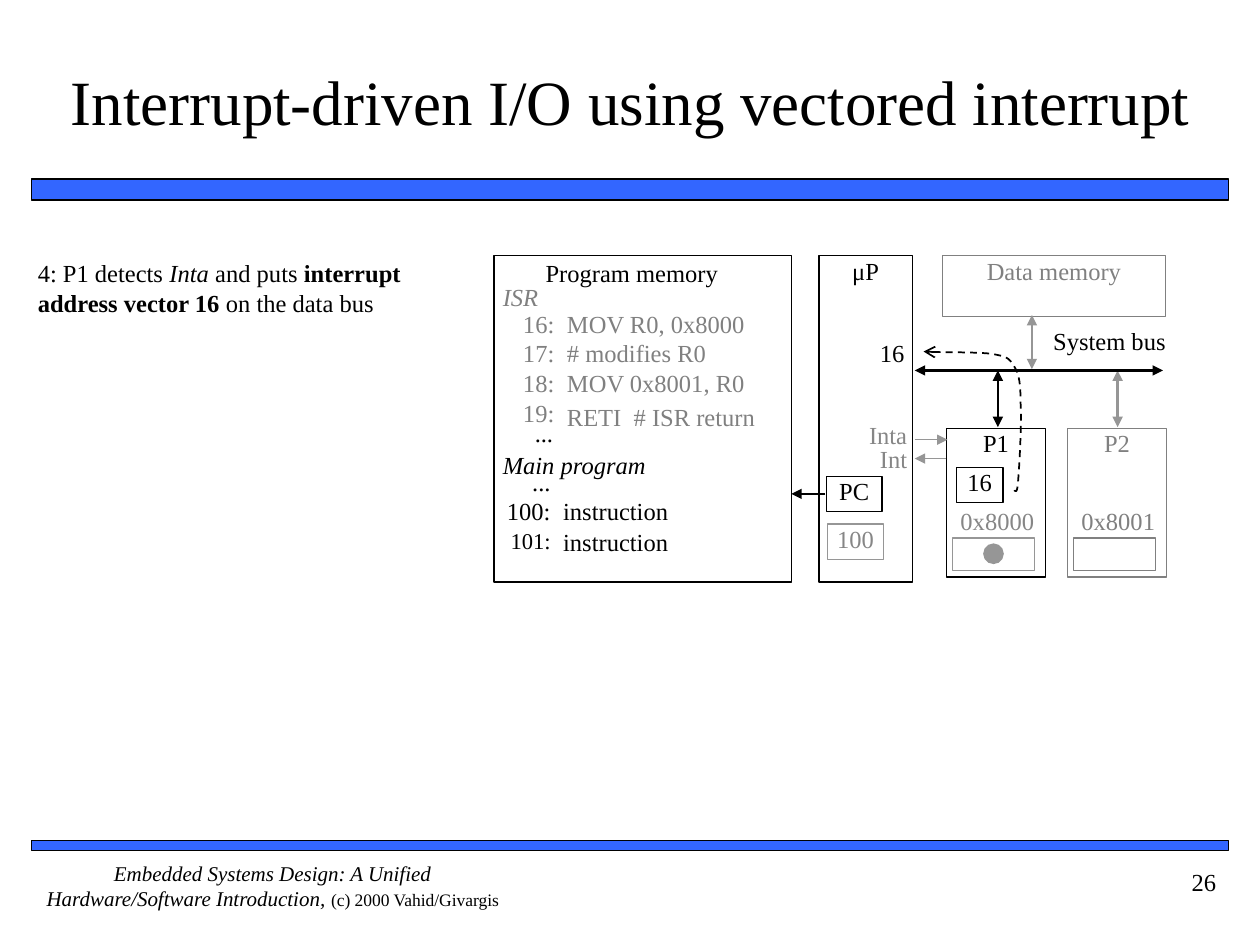
import pptx
import pptx.util
import pptx.dml.color
import pptx.enum.dml
import pptx.enum.shapes
import pptx.enum.text
import pptx.oxml.ns
import lxml.etree

Inches, Pt = pptx.util.Inches, pptx.util.Pt
SHAPE = pptx.enum.shapes.MSO_SHAPE
BLACK, WHITE, BLUE = "000000", "FFFFFF", "3366FF"
GRAY, MID, LIGHT = "808080", "868686", "969696"
ALIGN = {"l": pptx.enum.text.PP_ALIGN.LEFT, "c": pptx.enum.text.PP_ALIGN.CENTER,
         "r": pptx.enum.text.PP_ALIGN.RIGHT}


def rgb(color):
    return pptx.dml.color.RGBColor.from_string(color)


def write(sp, text, size=14, color=BLACK, align="l", italic=False, middle=False, inset=(0, 0)):
    """text is a string or a list of (text, format) runs."""
    tf = sp.text_frame
    tf.word_wrap = True
    tf.margin_left = tf.margin_right = Inches(inset[0])
    tf.margin_top = tf.margin_bottom = Inches(inset[1])
    anchor = pptx.enum.text.MSO_ANCHOR
    tf.vertical_anchor = anchor.MIDDLE if middle else anchor.TOP
    p = tf.paragraphs[0]
    p.alignment = ALIGN[align]
    for part, fmt in [(text, {})] if isinstance(text, str) else text:
        r = p.add_run()
        r.text = part
        r.font.name = "Times New Roman"
        r.font.size = Pt(fmt.get("size", size))
        r.font.italic = fmt.get("italic", italic)
        r.font.bold = fmt.get("bold", False)
        r.font.color.rgb = rgb(color)


def label(s, x, y, w, h, text, **fmt):
    sp = s.shapes.add_textbox(Inches(x), Inches(y), Inches(w), Inches(h))
    write(sp, text, **fmt)


def box(s, x, y, w, h, text=None, line=BLACK, fill=WHITE, color=BLACK,
        width=0.75, shape=SHAPE.RECTANGLE):
    sp = s.shapes.add_shape(shape, Inches(x), Inches(y), Inches(w), Inches(h))
    sp.shadow.inherit = False
    sp.fill.solid()
    sp.fill.fore_color.rgb = rgb(fill)
    sp.line.color.rgb = rgb(line)
    sp.line.width = Pt(width)
    if text:
        write(sp, text, color=color, align="c")


def style_line(sp, color, width, head=None, tail=None):
    sp.line.color.rgb = rgb(color)
    sp.line.width = Pt(width)
    ln = sp.line._get_or_add_ln()
    for tag, kind in (("a:headEnd", head), ("a:tailEnd", tail)):
        if kind:
            lxml.etree.SubElement(ln, pptx.oxml.ns.qn(tag), type=kind)


def arrow(s, x1, y1, x2, y2, color=BLACK, width=1.25, both=False):
    cn = s.shapes.add_connector(pptx.enum.shapes.MSO_CONNECTOR.STRAIGHT,
                                Inches(x1), Inches(y1), Inches(x2), Inches(y2))
    style_line(cn, color, width, "triangle" if both else None, "triangle")
    lxml.etree.SubElement(cn._element.spPr, pptx.oxml.ns.qn("a:effectLst"))


def bezier(a, b, c, d, steps=10):
    for i in range(1, steps + 1):
        t = i / steps
        u = 1 - t
        yield tuple(u**3 * p + 3 * u * u * t * q + 3 * u * t * t * m + t**3 * n
                    for p, q, m, n in zip(a, b, c, d))


def dashed_curve(s, x, y, start, curves):
    points, last = [], start
    for curve in curves:
        points += bezier(last, *curve)
        last = curve[-1]
    fb = s.shapes.build_freeform(Inches(x + start[0]), Inches(y + start[1]))
    fb.add_line_segments([(Inches(x + px), Inches(y + py)) for px, py in points], close=False)
    sp = fb.convert_to_shape()
    sp.shadow.inherit = False
    sp.fill.background()
    sp.line.dash_style = pptx.enum.dml.MSO_LINE.DASH
    style_line(sp, BLACK, 1, tail="arrow")


def header(s, x, y, w):
    label(s, x + 0.17, y, w - 0.33, 1.25, "Interrupt-driven I/O using vectored interrupt",
          size=36, align="c", middle=True, inset=(0, 0.05))
    box(s, x, y + 1.25, w, 0.17, fill=BLUE, width=1)


def footer(s, x, y, w):
    box(s, x, y, w, 0.08, fill=BLUE, width=1)
    label(s, x, y + 0.16, 3.83, 0.5,
          [("Embedded Systems Design: A Unified Hardware/Software Introduction, ", {"italic": True}),
           ("(c) 2000 Vahid/Givargis", {"size": 10})], size=12, align="c")
    label(s, x + w - 1, y + 0.16, 1, 0.5, "26", align="r", inset=(0.1, 0.05))


def step_note(s, x, y, w):
    label(s, x, y, w, 0.47,
          [("4: P1 detects ", {}), ("Inta ", {"italic": True}), ("and puts ", {}),
           ("interrupt address vector 16", {"bold": True}), (" on the data bus", {})])


def program_memory(s, x, y, w, h):
    box(s, x, y, w, h)
    label(s, x + 0.41, y + 0.02, 1.61, 0.33, "Program memory")
    label(s, x + 0.07, y + 0.21, 0.51, 0.34, "ISR", color=GRAY, italic=True)
    label(s, x + 0.07, y + 1.54, 1.38, 0.41, "Main program", italic=True)
    # Right edge of the addresses, left edge of the code, then one line per row
    for right, left, dy, code_dy, address, code, color, size in (
            (0.48, 0.58, 0.42, 0.42, "16:", "MOV R0, 0x8000", GRAY, 14),
            (0.48, 0.58, 0.65, 0.65, "17:", "# modifies R0", GRAY, 14),
            (0.48, 0.58, 0.89, 0.89, "18:", "MOV 0x8001, R0", GRAY, 14),
            (0.48, 0.58, 1.13, 1.16, "19:", "RETI  # ISR return", GRAY, 14),
            (0.47, 0.58, 1.29, 0, "...", None, BLACK, 14),
            (0.45, 0.55, 1.68, 0, "...", None, BLACK, 14),
            (0.45, 0.55, 1.91, 1.91, "100:", "instruction", BLACK, 14),
            (0.45, 0.55, 2.15, 2.15, "101:", "instruction", BLACK, 12.9)):
        label(s, x + right - 0.5, y + dy, 0.5, 0.25, address, size=size, color=color, align="r")
        if code:
            label(s, x + left, y + code_dy, 1.76, 0.25, code, color=color)


def processor(s, x, y, w, h):
    box(s, x, y, w, h, "μP")
    label(s, x + 0.43, y + 0.65, 0.3, 0.28, "16", align="c")
    for dy, name in ((1.3, "Inta"), (1.49, "Int")):
        label(s, x + 0.3, y + dy, 0.4, 0.32, name, color=MID, align="r")
    box(s, x + 0.06, y + 1.75, 0.44, 0.28, "PC")
    box(s, x + 0.07, y + 2.13, 0.44, 0.28, "100", line=LIGHT, color=MID)
    arrow(s, x + 0.05, y + 1.89, x - 0.22, y + 1.89)


def peripheral(s, x, y, name, address, color, address_color, register_line):
    box(s, x, y, 0.79, 1.18, name, line=color, color=color)
    label(s, x + 0.06, y + 0.62, 0.69, 0.26, address, color=address_color, align="c")
    box(s, x + 0.05, y + 0.87, 0.65, 0.26, line=register_line)


def bus(s, x, y):
    # Data memory above the bus
    box(s, x + 0.22, y - 0.91, 1.77, 0.48, "Data memory", line=GRAY, color=GRAY)
    arrow(s, x + 0.93, y - 0.44, x + 0.93, y - 0.01, LIGHT, both=True)
    label(s, x + 1.02, y - 0.35, 1.05, 0.32, "System bus", align="c")
    # Peripherals below it
    peripheral(s, x + 0.25, y + 0.46, "P1", "0x8000", BLACK, MID, LIGHT)
    peripheral(s, x + 1.21, y + 0.46, "P2", "0x8001", GRAY, GRAY, GRAY)
    box(s, x + 0.33, y + 0.77, 0.37, 0.28, "16")
    box(s, x + 0.55, y + 1.38, 0.15, 0.15, line=LIGHT, fill=LIGHT, width=1, shape=SHAPE.OVAL)
    arrow(s, x + 1.61, y, x + 1.61, y + 0.45, LIGHT, both=True)
    # Interrupt lines
    arrow(s, x, y + 0.55, x + 0.26, y + 0.55, LIGHT, 0.75)
    arrow(s, x + 0.25, y + 0.7, x, y + 0.7, LIGHT, 0.75)
    # Vector travelling from P1 to the processor
    dashed_curve(s, x, y, (0.79, 0.96),
                 (((0.8, 0.94), (0.81, 1), (0.82, 0.88)),
                  ((0.83, 0.77), (0.85, 0.41), (0.84, 0.26)),
                  ((0.84, 0.11), (0.83, 0.03), (0.79, -0.03)),
                  ((0.75, -0.1), (0.73, -0.11), (0.62, -0.13)),
                  ((0.5, -0.15), (0.19, -0.14), (0.07, -0.15))))
    arrow(s, x, y, x + 1.97, y, both=True)
    arrow(s, x + 0.66, y, x + 0.66, y + 0.45, both=True)


def main():
    prs = pptx.Presentation()
    prs.slide_width, prs.slide_height = Inches(10), Inches(7.5)
    s = prs.slides.add_slide(prs.slide_layouts[6])
    header(s, 0.25, 0.17, 9.5)
    footer(s, 0.25, 6.67, 9.5)
    step_note(s, 0.3, 2.05, 3.4)
    program_memory(s, 3.92, 2.03, 2.36, 2.59)
    processor(s, 6.5, 2.03, 0.74, 2.59)
    bus(s, 7.26, 2.94)
    prs.save("out.pptx")


if __name__ == "__main__":
    main()
